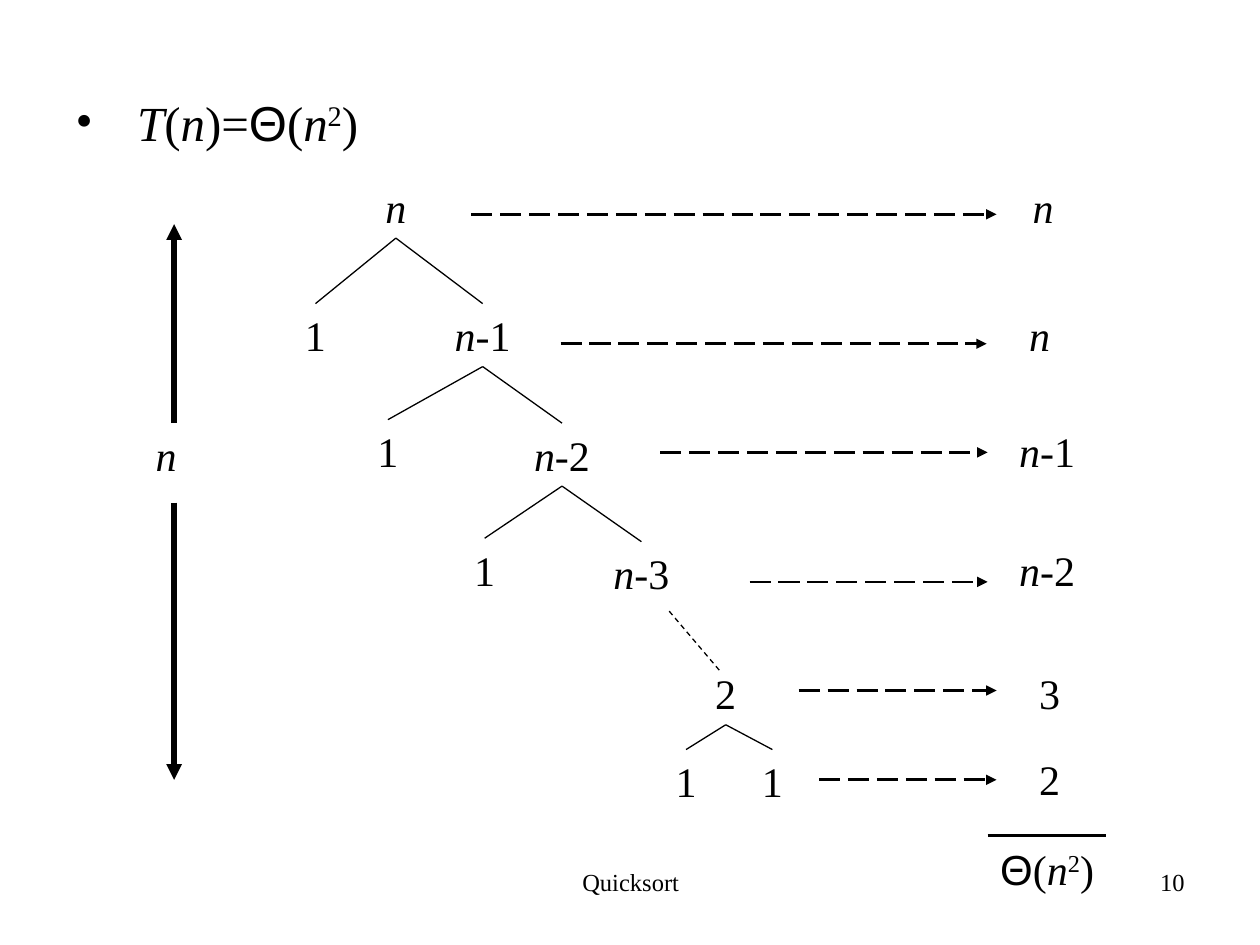
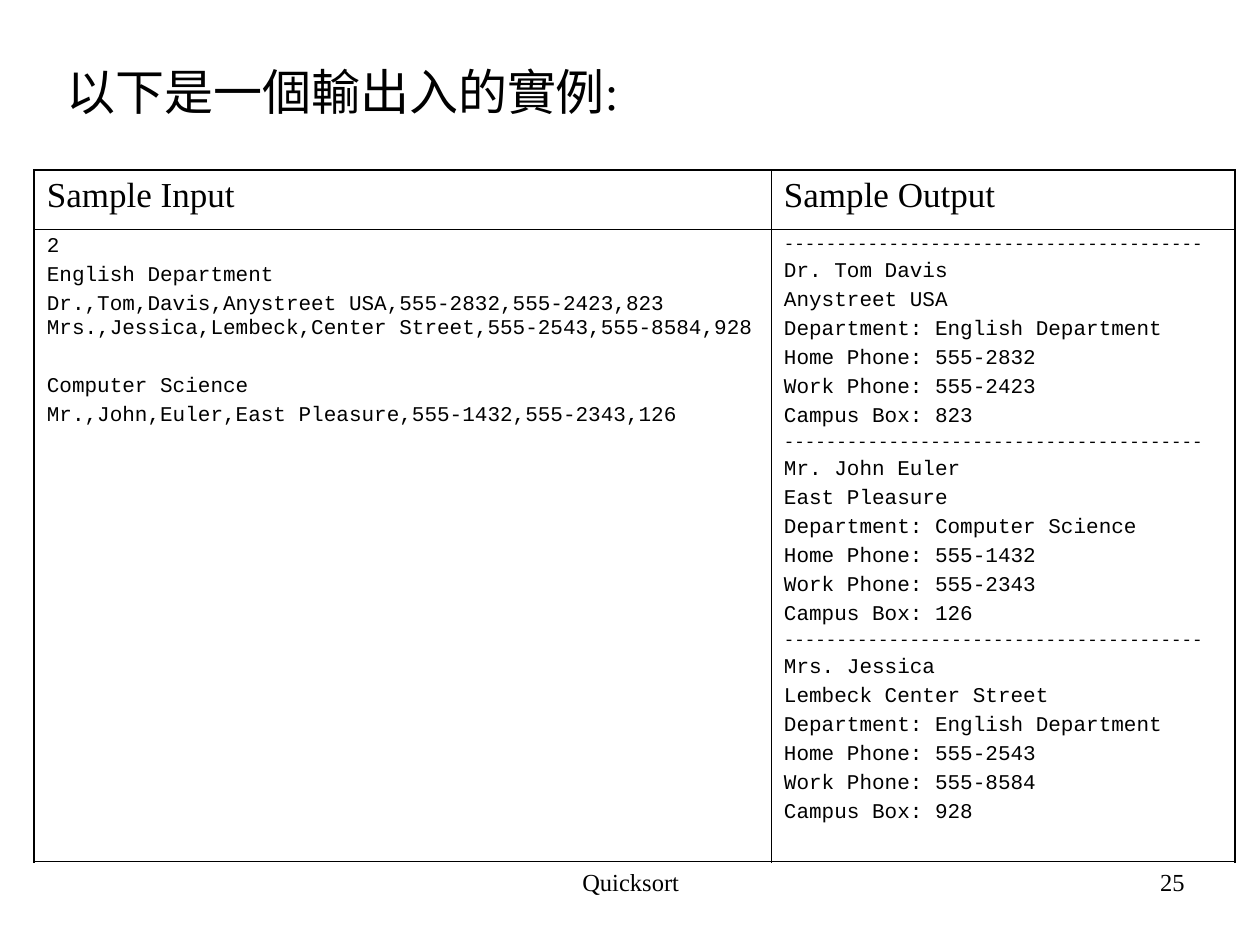
from itertools import groupby
from lxml.etree import SubElement
from pptx import Presentation
from pptx.dml.color import RGBColor
from pptx.enum.dml import MSO_LINE
from pptx.enum.shapes import MSO_CONNECTOR
from pptx.enum.text import MSO_ANCHOR, MSO_AUTO_SIZE, PP_ALIGN
from pptx.oxml.ns import qn
from pptx.util import Cm, Pt

COLORS = {"ink": "000000", "paper": "FFFFFF"}
SERIF, SANS, MONO = "Times New Roman", "Arial", "Courier New"
NODE_H = 1.27

NODES = [("n", 7.98, 3.53), ("n-1", 9.73, 6.12), ("n-2", 11.33, 8.53),
         ("n-3", 12.93, 10.92)]
LEAVES = [("1", 6.36, 6.12), ("1", 7.82, 8.46), ("1", 9.77, 10.85)]
LAST = ("2", 14.63, 13.34)
ENDS = [("1", 13.83, 15.11), ("1", 15.57, 15.11)]
COSTS = [
    ("n", 21.03, 3.53, 9.5, 20.09, 4.32),
    ("n", 20.96, 6.12, 11.3, 19.89, 6.93),
    ("n-1", 21.11, 8.46, 13.31, 19.91, 9.12),
    ("n-2", 21.11, 10.85, 15.11, 19.91, 11.73),
    ("3", 21.16, 13.34, 16.1, 20.09, 13.92),
    ("2", 21.16, 15.06, 16.51, 20.09, 15.72),
]
INPUT = [
    "2",
    "English Department",
    "Dr.,Tom,Davis,Anystreet USA,555-2832,555-2423,823 "
    "Mrs.,Jessica,Lembeck,Center Street,555-2543,555-8584,928",
    "Computer Science",
    "Mr.,John,Euler,East Pleasure,555-1432,555-2343,126",
]
PEOPLE = [
    ("Dr. Tom Davis", "Anystreet USA", "English Department",
     "555-2832", "555-2423", "823"),
    ("Mr. John Euler", "East Pleasure", "Computer Science",
     "555-1432", "555-2343", "126"),
    ("Mrs. Jessica", "Lembeck Center Street", "English Department",
     "555-2543", "555-8584", "928"),
]


def color(name):
    return RGBColor.from_string(COLORS[name])


def style(para, size, face=SERIF, align=PP_ALIGN.LEFT):
    para.alignment = align
    font = para.font
    font.size, font.name = Pt(size), face
    font.color.rgb = color("ink")


def kind(char):
    return {"n": "var", "T": "var", "Θ": "greek", "²": "power"}.get(char)


def math(para, text):
    for sort, chars in groupby(text, kind):
        run = para.add_run()
        run.text = "".join(chars).replace("²", "2")
        if sort == "var":
            run.font.italic = True
        elif sort == "greek":
            run.font.name = SANS
        elif sort == "power":
            run._r.get_or_add_rPr().set("baseline", "30000")


def textbox(slide, left, top, width, height):
    box = slide.shapes.add_textbox(Cm(left), Cm(top), Cm(width), Cm(height))
    return box.text_frame


def label(slide, text, mid, top, width=1.8):
    frame = textbox(slide, mid - width / 2, top, width, NODE_H)
    frame.word_wrap = False
    para = frame.paragraphs[0]
    style(para, 24, align=PP_ALIGN.CENTER)
    math(para, text)


def line(slide, x1, y1, x2, y2, width=0.75, dash=None, arrow=False):
    link = slide.shapes.add_connector(
        MSO_CONNECTOR.STRAIGHT, Cm(x1), Cm(y1), Cm(x2), Cm(y2))
    link.line.color.rgb = color("ink")
    link.line.width = Pt(width)
    if dash:
        link.line.dash_style = dash
    if arrow:
        SubElement(link.line._get_or_add_ln(), qn("a:tailEnd"), type="triangle")
    SubElement(link._element.spPr, qn("a:effectLst"))


def edge(slide, parent, child):
    line(slide, parent[1], parent[2] + NODE_H, child[1], child[2])


def title(slide, left, top, width, height):
    shape = slide.shapes.title
    shape.left, shape.top = Cm(left), Cm(top)
    shape.width, shape.height = Cm(width), Cm(height)
    frame = shape.text_frame
    frame.auto_size = MSO_AUTO_SIZE.NONE
    frame.vertical_anchor = MSO_ANCHOR.TOP
    frame.word_wrap = True
    return frame.paragraphs[0]


def bullet(para, indent):
    props = para._p.get_or_add_pPr()
    props.set("marL", str(Cm(indent)))
    props.set("indent", str(-Cm(indent)))
    SubElement(props, qn("a:buFont"), typeface=SERIF)
    SubElement(props, qn("a:buChar"), char="•")


def footer(slide, number):
    for text, left, width, align in (
            ("Quicksort", 8.69, 8.05, PP_ALIGN.CENTER),
            (number, 18.21, 5.92, PP_ALIGN.RIGHT)):
        frame = textbox(slide, left, 17.35, width, 1.32)
        frame.word_wrap = True
        para = frame.paragraphs[0]
        para.text = text
        style(para, 14, align=align)


def border(cell, side, width):
    edge_ln = SubElement(cell._tc.get_or_add_tcPr(), qn("a:" + side),
                         w=str(Pt(width)))
    fill = SubElement(edge_ln, qn("a:solidFill"))
    SubElement(fill, qn("a:srgbClr"), val=COLORS["ink"])


def fill_cell(cell, lines, outer):
    frame = cell.text_frame
    for i, (text, size, face, gap) in enumerate(lines):
        para = frame.add_paragraph() if i else frame.paragraphs[0]
        para.text = text
        if i:
            para.space_before = Pt(gap)
        style(para, size, face)
    for side in ("lnL", "lnR", "lnT", "lnB"):
        border(cell, side, 1.08 if side in outer else 0.45)
    cell.fill.solid()
    cell.fill.fore_color.rgb = color("paper")


def code(text, gap=3):
    return text, 12, MONO, gap


def report():
    lines = []
    for name, street, group, home, work, campus in PEOPLE:
        lines.append(("-" * 40, 10, MONO, 2.5))
        lines += map(code, (
            name, street, f"Department: {group}", f"Home Phone: {home}",
            f"Work Phone: {work}", f"Campus Box: {campus}"))
    return lines


def sample(slide):
    table = slide.shapes.add_table(
        2, 2, Cm(0.69), Cm(3.43), Cm(24.21), Cm(13.94)).table
    table.first_row = table.horz_banding = False
    table.columns[0].width, table.columns[1].width = Cm(14.86), Cm(9.35)
    table.rows[0].height, table.rows[1].height = Cm(1.19), Cm(12.75)
    data = [code(text, 19.6 if text == "Computer Science" else 3)
            for text in INPUT]
    grid = [[[(head, 20, SERIF, 0)] for head in ("Sample Input", "Sample Output")],
            [data, report()]]
    for row, cells in enumerate(grid):
        for col, lines in enumerate(cells):
            outer = (("lnT", "lnB")[row], ("lnL", "lnR")[col])
            fill_cell(table.cell(row, col), lines, outer)


def tree(slide):
    for node in NODES + LEAVES + [LAST] + ENDS:
        label(slide, *node)
    for parent, leaf, child in zip(NODES, LEAVES, NODES[1:]):
        edge(slide, parent, leaf)
        edge(slide, parent, child)
    for end in ENDS:
        edge(slide, LAST, end)
    line(slide, 13.49, 12.32, 14.5, 13.51, dash=MSO_LINE.DASH)


def costs(slide):
    for text, mid, top, start, stop, y in COSTS:
        label(slide, text, mid, top)
        line(slide, start, y, stop, y, 1.5, MSO_LINE.LONG_DASH, True)
    line(slide, 19.91, 16.84, 22.3, 16.84, 2)
    label(slide, "Θ(n²)", 21.11, 16.87, 2.5)


def depth(slide):
    label(slide, "n", 3.35, 8.53)
    for start, stop in ((8.53, 4.52), (10.13, 15.72)):
        line(slide, 3.51, start, 3.51, stop, 3, arrow=True)


def main():
    deck = Presentation()
    deck.slide_width, deck.slide_height = Cm(25.4), Cm(19.05)
    layout = deck.slide_layouts[5]

    slide = deck.slides.add_slide(layout)
    head = title(slide, 1.27, 1.73, 23.04, 1.6)
    bullet(head, 1.24)
    style(head, 28)
    math(head, "T(n)=Θ(n²)")
    tree(slide)
    costs(slide)
    depth(slide)
    footer(slide, "10")

    slide = deck.slides.add_slide(layout)
    head = title(slide, 1.09, 1.12, 22.86, 2)
    head.text = "以下是一個輸出入的實例:"
    style(head, 28)
    sample(slide)
    footer(slide, "25")

    deck.save("out.pptx")


if __name__ == "__main__":
    main()
